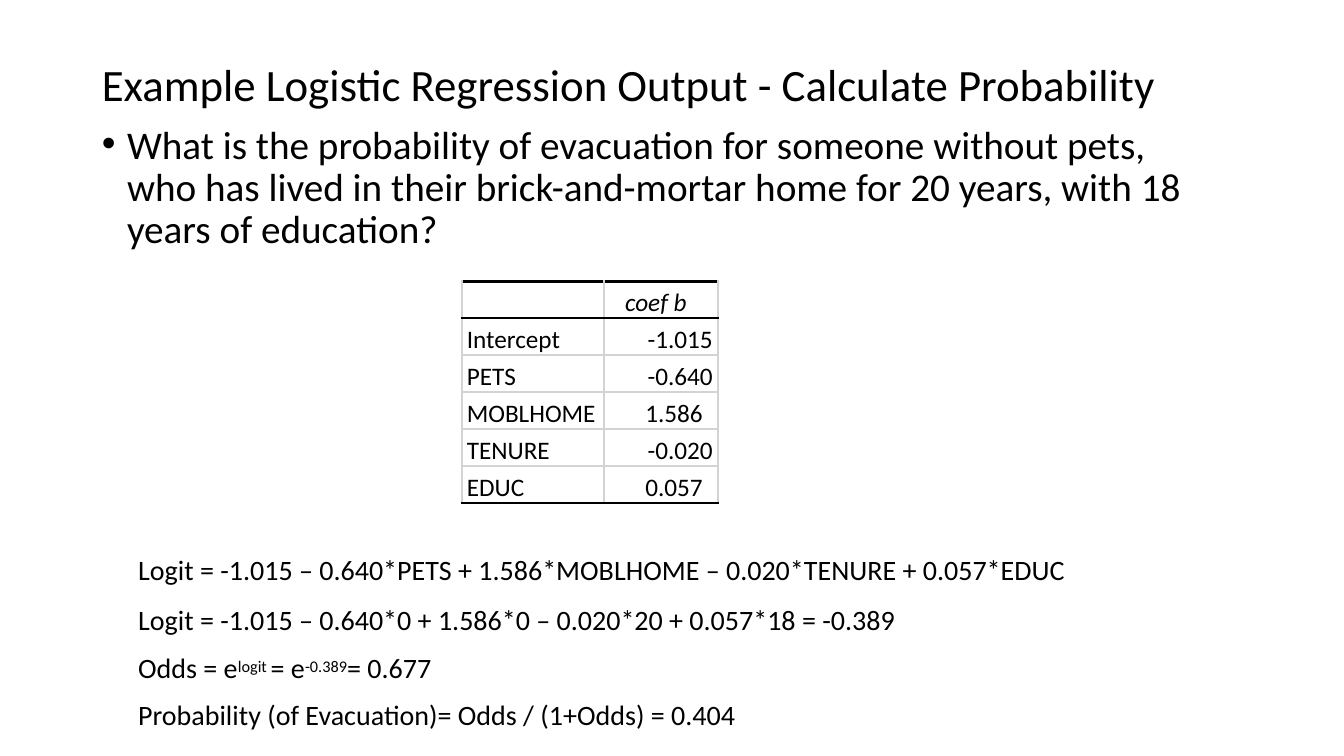
from lxml.etree import SubElement
from pptx import Presentation
from pptx.dml.color import RGBColor
from pptx.enum.text import MSO_ANCHOR as Anchor, MSO_AUTO_SIZE as AutoSize, PP_ALIGN as Align
from pptx.oxml.ns import qn
from pptx.util import Inches, Pt

BLACK = RGBColor(0, 0, 0)
GRID_GRAY = RGBColor(0xD3, 0xD3, 0xD3)
LEFT_EDGE = Inches(1)


def style(paragraph, size, spacing, align=Align.LEFT, left=0, indent=0, right=0, italic=False):
    properties = paragraph._p.get_or_add_pPr()
    properties.set("marL", str(Inches(left)))
    properties.set("indent", str(Inches(indent)))
    properties.set("marR", str(Inches(right)))
    paragraph.alignment = align
    paragraph.line_spacing = spacing
    paragraph.space_before = Pt(0)
    paragraph.font.name = "Calibri"
    paragraph.font.size = Pt(size)
    paragraph.font.italic = italic
    paragraph.font.color.rgb = BLACK


def prepare(box, left, top, width, height, inset):
    box.left, box.top, box.width, box.height = left, top, width, height
    frame = box.text_frame
    frame.word_wrap = True
    frame.auto_size = AutoSize.NONE
    frame.vertical_anchor = Anchor.TOP
    frame.margin_left = frame.margin_right = frame.margin_bottom = 0
    frame.margin_top = Inches(inset)
    return frame


deck = Presentation()
deck.slide_width, deck.slide_height = Inches(13.33), Inches(7.5)
slide = deck.slides.add_slide(deck.slide_layouts[1])

heading = prepare(slide.shapes.title, LEFT_EDGE, Inches(0.34), Inches(11.27), Inches(0.72), 0.1)
heading.text = "Example Logistic Regression Output - Calculate Probability"
style(heading.paragraphs[0], 32, Pt(47), left=0.01)

question = prepare(slide.placeholders[1], LEFT_EDGE, Inches(1.17), Inches(10.75), Inches(1.33), 0.07)
question.text = (
    "What is the probability of evacuation for someone without pets, "
    "who has lived in their brick-and-mortar home for 20 years, with 18 "
    "years of education?"
)
style(question.paragraphs[0], 28, Pt(30), left=0.26, indent=-0.25)

coefficients = [
    ("", "coef b"),
    ("Intercept", "-1.015"),
    ("PETS", "-0.640"),
    ("MOBLHOME", "1.586"),
    ("TENURE", "-0.020"),
    ("EDUC", "0.057"),
]
last = len(coefficients) - 1
table = slide.shapes.add_table(
    len(coefficients), 2, Inches(4.58), Inches(2.79), Inches(2.54), Inches(2.04)
).table
table.first_row = table.horz_banding = False
table.columns[0].width, table.columns[1].width = Inches(1.41), Inches(1.13)

for row, texts in enumerate(coefficients):
    table.rows[row].height = Inches(0.34)
    top = (BLACK, 2.25) if row < 2 else (GRID_GRAY, 1.5)
    bottom = {0: (BLACK, 2.25), last: (BLACK, 1.5)}.get(row, (GRID_GRAY, 1.5))
    side = (GRID_GRAY, 1.5)
    for column, text in enumerate(texts):
        cell = table.cell(row, column)
        cell.margin_left = cell.margin_right = cell.margin_top = cell.margin_bottom = 0
        cell.text = text
        paragraph = cell.text_frame.paragraphs[0]
        if row == 0:
            style(paragraph, 18, Pt(26.2), left=0.21 * column, italic=True)
        elif column == 0:
            style(paragraph, 18, Pt(26.4), left=0.05)
        else:
            style(paragraph, 18, Pt(26.4), Align.RIGHT, right=0.05 if text.startswith("-") else 0.15)
        borders = cell._tc.get_or_add_tcPr()
        for tag, (color, width) in zip(("a:lnL", "a:lnR", "a:lnT", "a:lnB"), (side, side, top, bottom)):
            line = SubElement(borders, qn(tag), w=str(Pt(width)))
            SubElement(SubElement(line, qn("a:solidFill")), qn("a:srgbClr"), val=str(color))
        cell.fill.background()

steps = [
    (["Logit = -1.015 – 0.640*PETS + 1.586*MOBLHOME – 0.020*TENURE + 0.057*EDUC"], 1.43, 0),
    (["Logit = -1.015 – 0.640*0 + 1.586*0 – 0.020*20 + 0.057*18 = -0.389"], 1.43, 1),
    (["Odds = e", "logit ", "= e", "-0.389", "= 0.677"], 1, 10.6),
    (["Probability (of Evacuation)= Odds / (1+Odds) = 0.404"], 1, 9.3),
]
calculation = prepare(
    slide.shapes.add_textbox(0, 0, 0, 0), Inches(1.33), Inches(5.33), Inches(11.08), Inches(1.94), 0.01
)
for number, (parts, spacing, before) in enumerate(steps):
    paragraph = calculation.add_paragraph() if number else calculation.paragraphs[0]
    style(paragraph, 20, spacing, left=0.04)
    paragraph.space_before = Pt(before)
    for position, part in enumerate(parts):
        run = paragraph.add_run()
        run.text = part
        if position % 2:
            run.font._element.set("baseline", "23000")

deck.save("out.pptx")
